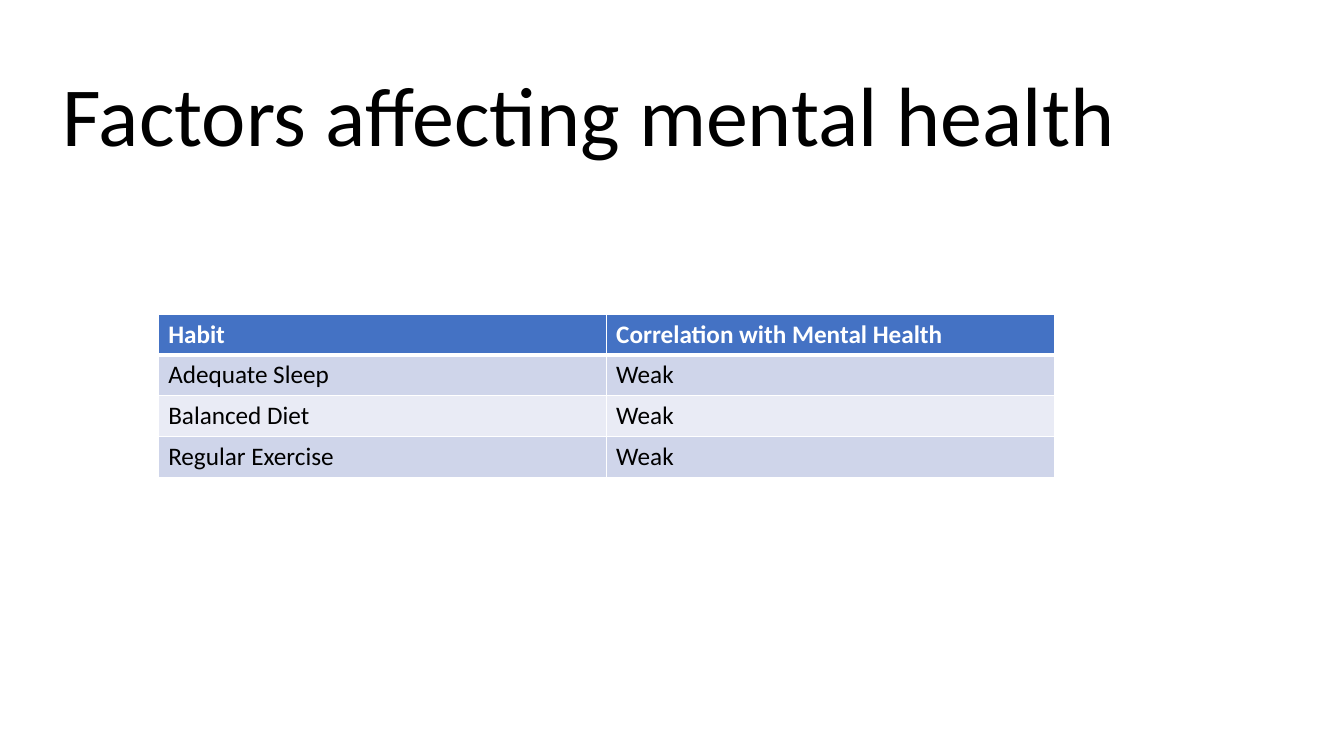
from lxml.etree import SubElement
from pptx import Presentation
from pptx.dml.color import RGBColor
from pptx.enum.text import MSO_ANCHOR as Anchor, MSO_AUTO_SIZE as AutoSize, PP_ALIGN as Align
from pptx.oxml.ns import qn
from pptx.util import Pt

COLORS = {
    "black": "000000",
    "white": "FFFFFF",
    "header": "4472C4",
    "odd": "CFD5EA",
    "even": "E9EBF5",
}
HABITS = [
    ("Habit", "Correlation with Mental Health"),
    ("Adequate Sleep", "Weak"),
    ("Balanced Diet", "Weak"),
    ("Regular Exercise", "Weak"),
]


def write(frame, text, size=18, color="black", bold=False, font="Calibri"):
    """Put one formatted, left-aligned paragraph into a text frame."""
    para = frame.paragraphs[0]
    para.alignment = Align.LEFT
    span = para.add_run()
    span.text = text
    span.font.name = font
    span.font.size = Pt(size)
    span.font.bold = bold
    span.font.color.rgb = RGBColor.from_string(COLORS[color])


class SlideBuilder:
    """Hold the deck, its current page and the table style."""

    def __init__(self, width, height):
        """Start a deck with one title-only page."""
        self.deck = Presentation()
        self.deck.slide_width, self.deck.slide_height = Pt(width), Pt(height)
        self.page = self.deck.slides.add_slide(self.deck.slide_layouts[5])
        self.thin, self.thick = 1, 3

    def title(self, text, left, top, width, height, size):
        """Place and format the title."""
        box = self.page.shapes.title
        box.left, box.top, box.width, box.height = map(Pt, (left, top, width, height))
        frame = box.text_frame
        frame.word_wrap = True
        frame.auto_size = AutoSize.SHAPE_TO_FIT_TEXT
        frame.vertical_anchor = Anchor.TOP
        write(frame, text, size=size)

    def grid(self, left, top, widths, heights, frame_height):
        """Add an unfilled, unbanded table and return it."""
        shape = self.page.shapes.add_table(
            len(heights), len(widths), Pt(left), Pt(top), Pt(sum(widths)), Pt(frame_height))
        grid = shape.table
        grid.first_row = grid.horz_banding = False
        for column, width in zip(grid.columns, widths):
            column.width = Pt(width)
        for row, height in zip(grid.rows, heights):
            row.height = Pt(height)
        shape.height = Pt(frame_height)
        for cell in grid.iter_cells():
            cell.fill.background()
        return grid

    def border(self, cell, position, side, weight):
        """Draw a white border on one side of a cell."""
        line = SubElement(cell._tc.get_or_add_tcPr(), qn(f"a:ln{side}"), w=str(Pt(weight)))
        fill = SubElement(line, qn("a:solidFill"))
        SubElement(fill, qn("a:srgbClr"), val=COLORS["white"])
        cell._tc.tcPr.insert(position, line)

    def fill_table(self, grid, rows):
        """Fill a table with text, a header colour and bands."""
        for index, texts in enumerate(rows):
            header = index == 0
            band = "header" if header else "odd" if index % 2 else "even"
            weights = {
                "L": self.thin,
                "R": self.thin,
                "T": self.thick if index == 1 else self.thin,
                "B": self.thick if header else self.thin,
            }
            for column, text in enumerate(texts):
                cell = grid.cell(index, column)
                cell.vertical_anchor = Anchor.MIDDLE
                cell.fill.solid()
                cell.fill.fore_color.rgb = RGBColor.from_string(COLORS[band])
                for position, (side, weight) in enumerate(weights.items()):
                    self.border(cell, position, side, weight)
                write(cell.text_frame, text, color="white" if header else "black", bold=header)


def main():
    """Build and save the slide."""
    builder = SlideBuilder(960, 540)
    builder.title("Factors affecting mental health", 37.5, 40.8, 884, 80, size=60)
    builder.grid(620, 202.3, [157.7, 162.7], [74.9] * 3, frame_height=224.7)
    habits = builder.grid(113, 224.6, [320] * 2, [13.7] + [29.2] * 3, frame_height=116.8)
    builder.fill_table(habits, HABITS)
    builder.deck.save("out.pptx")


if __name__ == "__main__":
    main()
